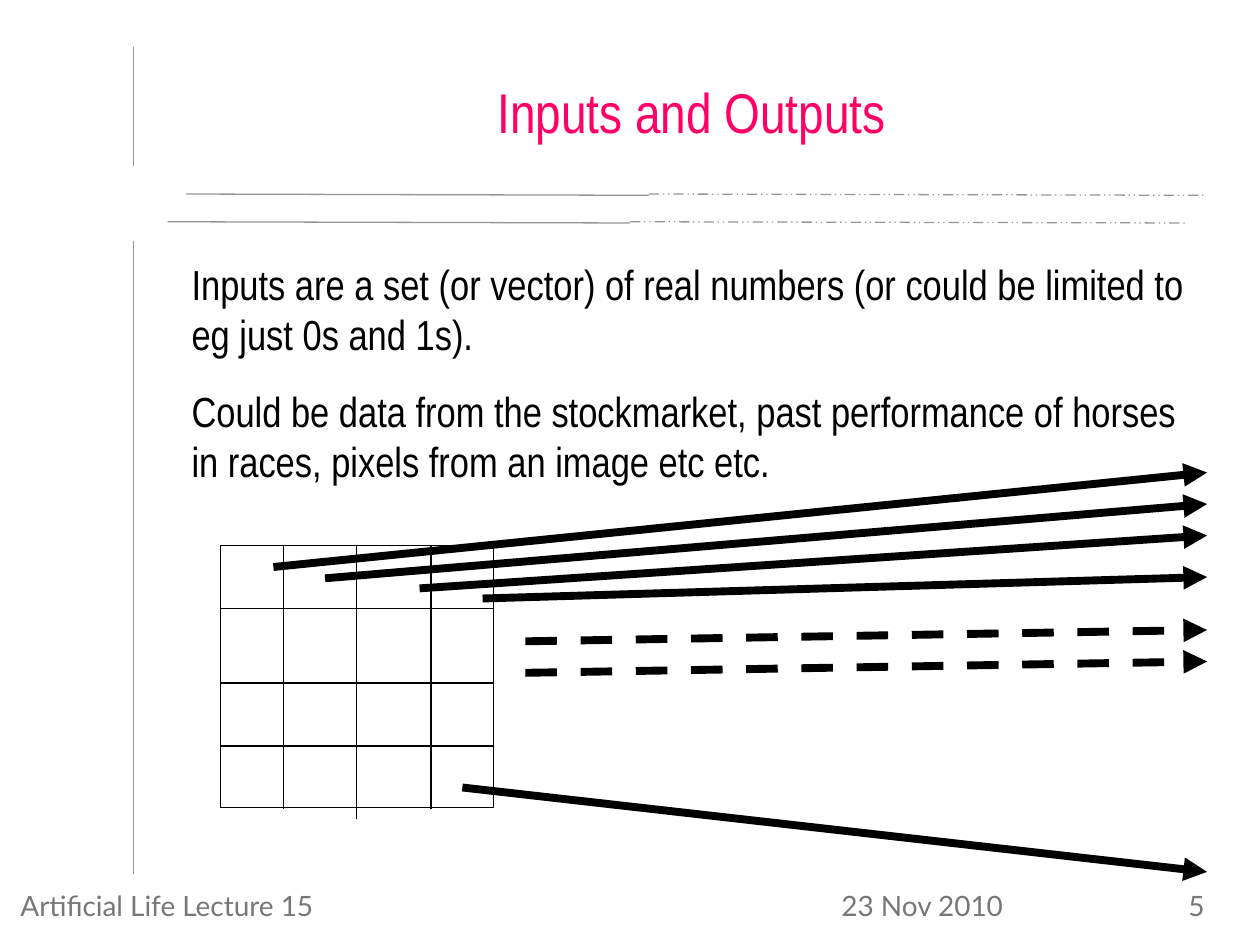
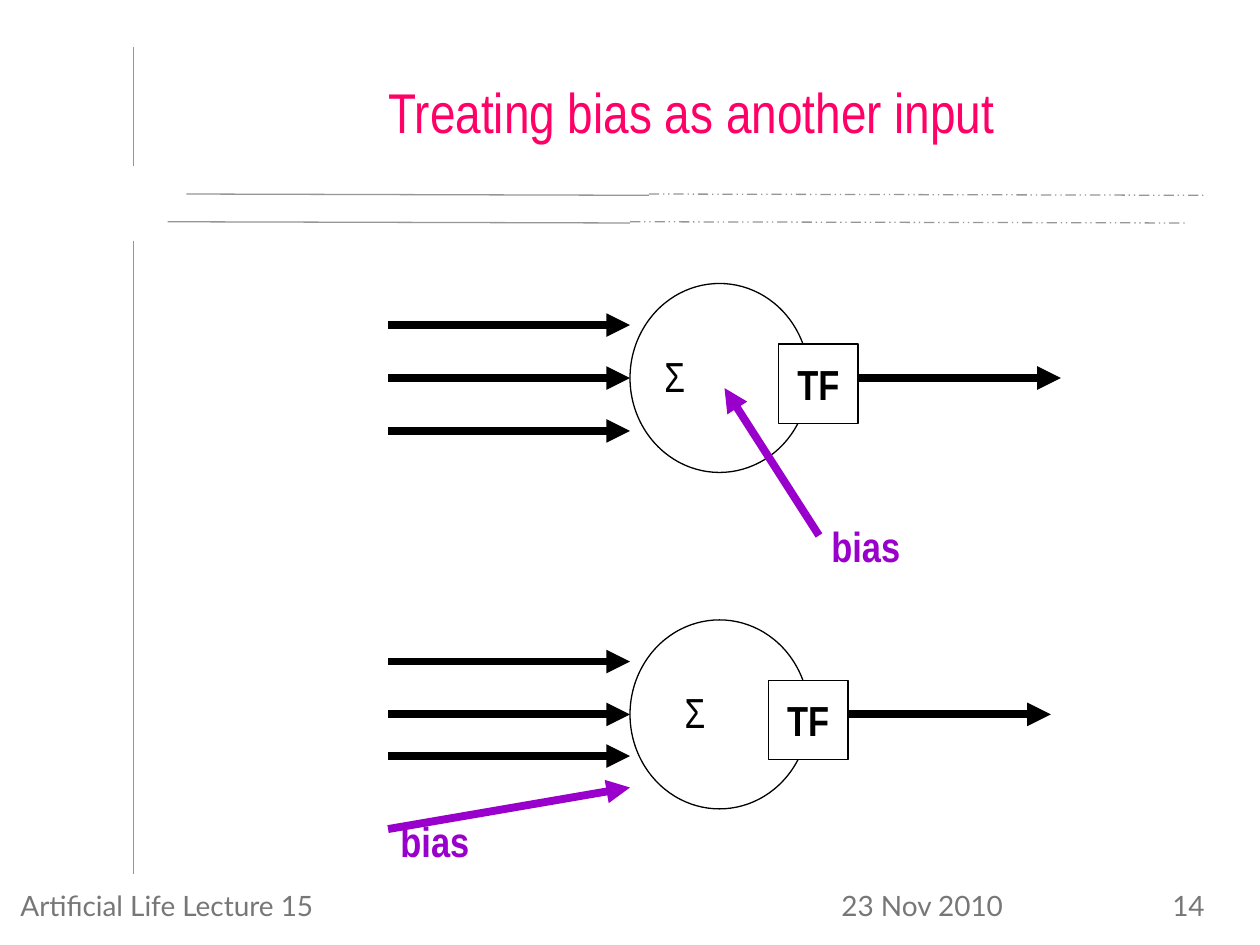
from lxml import etree
from pptx import Presentation
from pptx.dml.color import RGBColor
from pptx.enum import dml, shapes, text
from pptx.oxml import ns
from pptx.util import Inches, Pt

PINK = RGBColor(0xFF, 0x00, 0x66)
PURPLE = RGBColor(0x99, 0x00, 0xCC)
BLACK = RGBColor(0x00, 0x00, 0x00)
WHITE = RGBColor(0xFF, 0xFF, 0xFF)
RULE_GREY = RGBColor(0x96, 0x96, 0x96)
FOOTER_GREY = RGBColor(0x77, 0x77, 0x77)
LEFT, CENTER, RIGHT = text.PP_ALIGN.LEFT, text.PP_ALIGN.CENTER, text.PP_ALIGN.RIGHT
TOP, MIDDLE = text.MSO_ANCHOR.TOP, text.MSO_ANCHOR.MIDDLE
DASH, DASH_DOTS = dml.MSO_LINE.DASH, dml.MSO_LINE.DASH_DOT_DOT


def put_text(sp, content, at=None, size=24, font="Arial Narrow", color=BLACK,
             bold=False, align=LEFT, anchor=TOP, wrap=True):
    """Fill a shape with one paragraph per line of content, moving it if at is given."""
    if at:
        sp.left, sp.top, sp.width, sp.height = map(Inches, at)
    tf = sp.text_frame
    tf.text = content
    tf.word_wrap = wrap
    tf.auto_size = text.MSO_AUTO_SIZE.NONE
    tf.vertical_anchor = anchor
    for i, p in enumerate(tf.paragraphs):
        pPr = p._p.get_or_add_pPr()
        pPr.set("marL", "0")
        pPr.set("indent", "0")
        etree.SubElement(pPr, ns.qn("a:buNone"))
        p.alignment = align
        p.space_before = Pt(15 if i else 0)
        for r in p.runs:
            r.font.name, r.font.size, r.font.bold = font, Pt(size), bold
            r.font.color.rgb = color


def add_line(s, x1, y1, x2, y2, color=BLACK, width=0.75, dash=None, arrow=False):
    cx = s.shapes.add_connector(shapes.MSO_CONNECTOR.STRAIGHT,
                                *map(Inches, (x1, y1, x2, y2)))
    cx.line.color.rgb = color
    cx.line.width = Pt(width)
    if dash:
        cx.line.dash_style = dash
    if arrow:
        etree.SubElement(cx.line._get_or_add_ln(), ns.qn("a:tailEnd"), type="triangle")
    etree.SubElement(cx._element.spPr, ns.qn("a:effectLst"))


prs = Presentation()
prs.slide_width, prs.slide_height = Inches(10), Inches(7.5)
inputs = prs.slides.add_slide(prs.slide_layouts[1])
bias = prs.slides.add_slide(prs.slide_layouts[5])

# Shared frame, title and footer
for s, title, number in ((inputs, "Inputs and Outputs", "5"),
                         (bias, "Treating bias as another input", "14")):
    for top, bottom in ((0.37, 1.32), (1.91, 6.94)):
        add_line(s, 1.06, top, 1.06, bottom, RULE_GREY)
    for x, y in ((1.48, 1.54), (1.33, 1.76)):
        add_line(s, x, y, x + 3.67, y + 0.01, RULE_GREY)
        add_line(s, x + 3.67, y, x + 8.09, y + 0.01, RULE_GREY, dash=DASH_DOTS)
    for content, at, align in (("Artificial Life Lecture 15", (0, 7, 2.65, 0.5), CENTER),
                               ("23 Nov 2010", (6.58, 7, 2.08, 0.5), LEFT),
                               (number, (8.83, 7, 0.83, 0.42), RIGHT)):
        put_text(s.shapes.add_textbox(0, 0, 0, 0), content, at, size=16, font="Lato",
                 color=FOOTER_GREY, align=align)
    put_text(s.shapes.title, title, (1.59, 0.51, 7.8, 0.75), size=32, color=PINK,
             align=CENTER, anchor=MIDDLE)

# Inputs and Outputs: pixel grid feeding the inputs
put_text(inputs.placeholders[1],
         "Inputs are a set (or vector) of real numbers (or could be limited to "
         "eg just 0s and 1s).\n"
         "Could be data from the stockmarket, past performance of horses in races, "
         "pixels from an image etc etc.", (1.42, 2, 8.17, 1.91))
grid = inputs.shapes.add_shape(shapes.MSO_SHAPE.RECTANGLE,
                               *map(Inches, (1.75, 4.33, 2.17, 2.08)))
outlined = [grid]
for x, bottom in ((2.25, 6.42), (2.83, 6.5), (3.42, 6.42)):
    add_line(inputs, x, 4.33, x, bottom)
for y in (4.83, 5.42, 5.92):
    add_line(inputs, 1.75, y, 3.92, y)
for x, y, end_y, dash in ((2.17, 4.5, 3.75, None), (2.58, 4.59, 4, None),
                          (3.33, 4.67, 4.25, None), (3.83, 4.75, 4.58, None),
                          (4.17, 5.09, 5, DASH), (4.17, 5.34, 5.25, DASH),
                          (3.67, 6.25, 6.92, None)):
    add_line(inputs, x, y, 9.58, end_y, width=4.5, dash=dash, arrow=True)

# Treating bias as another input: two versions of one neuron
for top, input_ys, tf_at, sigma_at, out_x, bias_arrow, label_at in (
        (2.25, (2.58, 3, 3.42), (6.18, 2.73), (5.08, 2.73), 6.5,
         (6.5, 4.25, 5.75, 3.08), (6.5, 4.08)),
        (4.92, (5.25, 5.67, 6), (6.1, 5.4), (5.24, 5.4), 6.42,
         (3.08, 6.58, 5, 6.25), (3.08, 6.42))):
    body = bias.shapes.add_shape(shapes.MSO_SHAPE.OVAL,
                                 *map(Inches, (5, top, 1.42, 1.5)))
    for y in input_ys:
        add_line(bias, 3.08, y, 5, y, width=4.5, arrow=True)
    add_line(bias, out_x, input_ys[1], out_x + 1.92, input_ys[1], width=4.5, arrow=True)
    transfer = bias.shapes.add_shape(shapes.MSO_SHAPE.RECTANGLE,
                                     *map(Inches, (*tf_at, 0.63, 0.63)))
    outlined += [body, transfer]
    put_text(transfer, "TF", bold=True, align=CENTER, anchor=MIDDLE, wrap=False)
    add_line(bias, *bias_arrow, color=PURPLE, width=4.5, arrow=True)
    put_text(bias.shapes.add_textbox(0, 0, 0, 0), "bias", (*label_at, 1.92, 0.5),
             color=PURPLE, bold=True)
    put_text(bias.shapes.add_textbox(0, 0, 0, 0), "Σ", (*sigma_at, 0.55, 0.5),
             align=CENTER)

# White shapes with a thin black outline
for sp in outlined:
    sp.shadow.inherit = False
    sp.fill.solid()
    sp.fill.fore_color.rgb = WHITE
    sp.line.color.rgb = BLACK
    sp.line.width = Pt(0.75)

prs.save("out.pptx")
